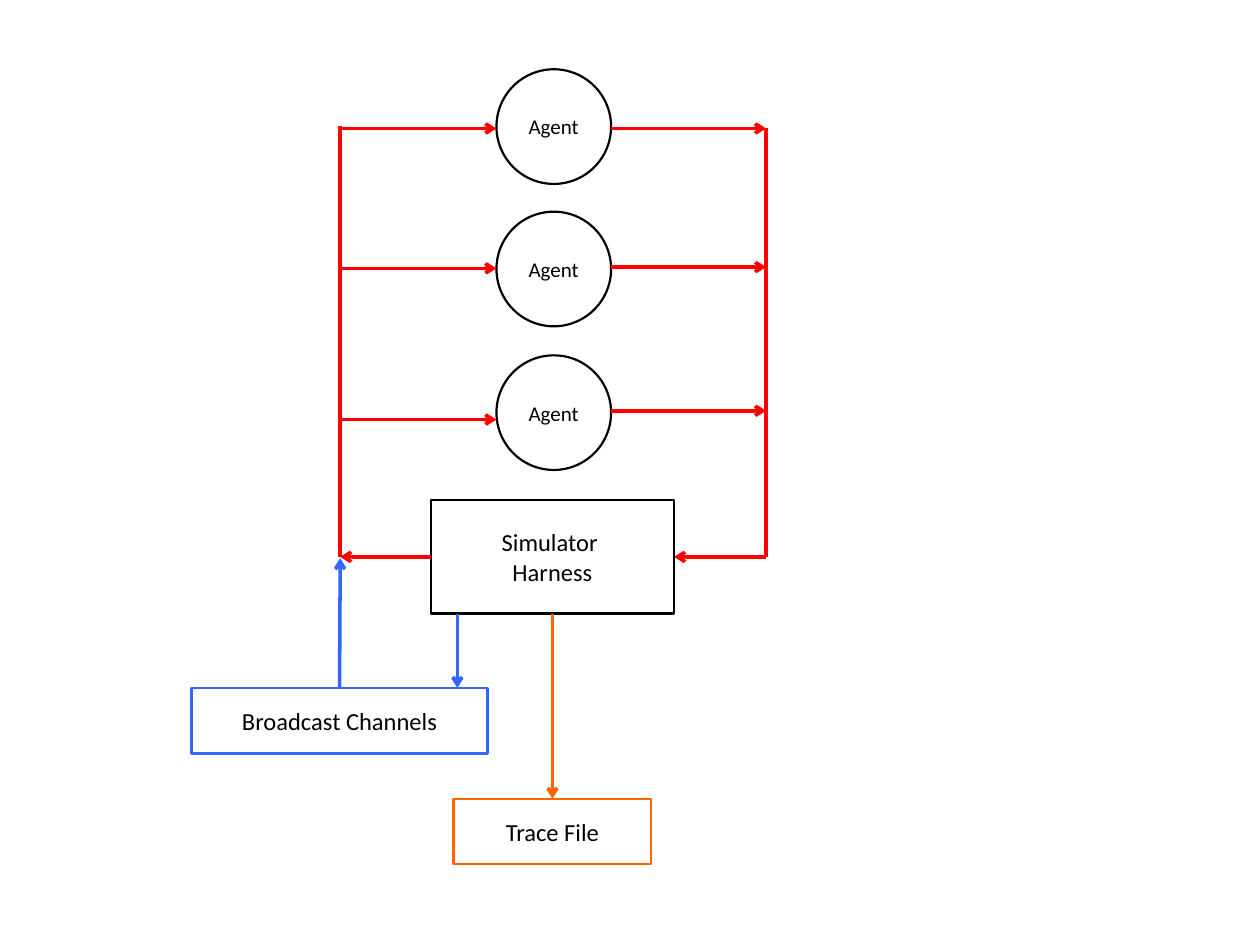
from dataclasses import dataclass
from typing import Optional

import pptx
import pptx.dml.color
import pptx.enum.shapes
import pptx.enum.text
import pptx.oxml
import pptx.oxml.ns
import pptx.util

Inches = pptx.util.Inches
Pt = pptx.util.Pt
SHAPE = pptx.enum.shapes.MSO_SHAPE
TOP, LEFT, BOTTOM, RIGHT = range(4)


@dataclass(frozen=True)
class Theme:
    font: str = "Calibri"
    black: str = "000000"
    white: str = "FFFFFF"
    red: str = "FF0000"
    blue: str = "3366FF"
    orange: str = "FF6600"
    agent_size: float = 12
    box_size: float = 14
    outline: float = 1.25
    flow: float = 2


@dataclass(frozen=True)
class Node:
    lines: tuple[str, ...]
    x: float
    y: float
    w: float
    h: float
    color: str
    size: float
    fill: Optional[str] = None
    kind: pptx.enum.shapes.MSO_SHAPE = SHAPE.RECTANGLE


@dataclass(frozen=True)
class Flow:
    x1: float
    y1: float
    x2: float
    y2: float
    color: str
    arrow: bool = True


THEME = Theme()


def rgb(color: str) -> pptx.dml.color.RGBColor:
    return pptx.dml.color.RGBColor.from_string(color)


def draw_node(slide, node: Node):
    s = slide.shapes.add_shape(node.kind, Inches(node.x), Inches(node.y),
                               Inches(node.w), Inches(node.h))
    s.shadow.inherit = False
    if node.fill:
        s.fill.solid()
        s.fill.fore_color.rgb = rgb(node.fill)
    else:
        s.fill.background()
    s.line.color.rgb = rgb(node.color)
    s.line.width = Pt(THEME.outline)
    tf = s.text_frame
    tf.vertical_anchor = pptx.enum.text.MSO_ANCHOR.MIDDLE
    for i, line in enumerate(node.lines):
        p = tf.add_paragraph() if i else tf.paragraphs[0]
        p.alignment = pptx.enum.text.PP_ALIGN.CENTER
        r = p.add_run()
        r.text = line
        r.font.name = THEME.font
        r.font.size = Pt(node.size)
        r.font.color.rgb = rgb(THEME.black)
    return s


def draw_flow(slide, flow: Flow):
    c = slide.shapes.add_connector(
        pptx.enum.shapes.MSO_CONNECTOR.STRAIGHT, Inches(flow.x1), Inches(flow.y1),
        Inches(flow.x2), Inches(flow.y2))
    c.line.color.rgb = rgb(flow.color)
    c.line.width = Pt(THEME.flow)
    qn = pptx.oxml.ns.qn
    if flow.arrow:
        tail = c.line._get_or_add_ln().makeelement(qn("a:tailEnd"), {"type": "arrow"})
        c.line._get_or_add_ln().append(tail)
    props = c._element.spPr
    props.append(props.makeelement(qn("a:effectLst"), {}))
    return c


def main() -> None:
    prs = pptx.Presentation()
    prs.slide_width, prs.slide_height = Inches(10), Inches(7.5)
    slide = prs.slides.add_slide(prs.slide_layouts[6])

    # Agents and the harness below them
    agent_x, agent_d = 3.94, 0.91
    for y in (0.55, 1.68, 2.82):
        draw_node(slide, Node(("Agent",), agent_x, y, agent_d, agent_d,
                              THEME.black, THEME.agent_size, kind=SHAPE.OVAL))
    harness = draw_node(slide, Node(("Simulator ", "Harness"), 3.42, 3.97, 1.93, 0.9,
                                    THEME.black, THEME.box_size))

    # Red loop: agents to the right bus, harness, left bus, back to the agents
    left_bus, right_bus, bus_y = 2.7, 6.08, 4.42
    into_harness = draw_flow(slide, Flow(right_bus, bus_y, 5.35, bus_y, THEME.red))
    into_harness.end_connect(harness, RIGHT)
    draw_flow(slide, Flow(right_bus, bus_y, right_bus, 1.02, THEME.red, arrow=False))
    for y in (1.02, 2.12, 3.26):
        draw_flow(slide, Flow(agent_x + agent_d, y, right_bus, y, THEME.red))

    out_of_harness = draw_flow(slide, Flow(3.42, bus_y, left_bus, bus_y, THEME.red))
    out_of_harness.begin_connect(harness, LEFT)
    draw_flow(slide, Flow(left_bus, bus_y, left_bus, 1, THEME.red, arrow=False))
    for y in (1.02, 2.13, 3.33):
        draw_flow(slide, Flow(left_bus, y, agent_x, y, THEME.red))

    # Broadcast channels and trace file
    channels = draw_node(slide, Node(("Broadcast Channels",), 1.52, 5.46, 2.35, 0.52,
                                     THEME.blue, THEME.box_size, THEME.white))
    trace = draw_node(slide, Node(("Trace File",), 3.6, 6.34, 1.57, 0.52,
                                  THEME.orange, THEME.box_size, THEME.white))

    # Flows between the harness and the two boxes
    to_trace = draw_flow(slide, Flow(4.39, 4.87, 4.39, 6.34, THEME.orange))
    to_trace.begin_connect(harness, BOTTOM)
    to_trace.end_connect(trace, TOP)
    draw_flow(slide, Flow(3.63, 4.87, 3.63, 5.46, THEME.blue))
    to_bus = draw_flow(slide, Flow(left_bus, 5.46, left_bus, 4.43, THEME.blue))
    to_bus.begin_connect(channels, TOP)

    prs.save("out.pptx")


if __name__ == "__main__":
    main()
